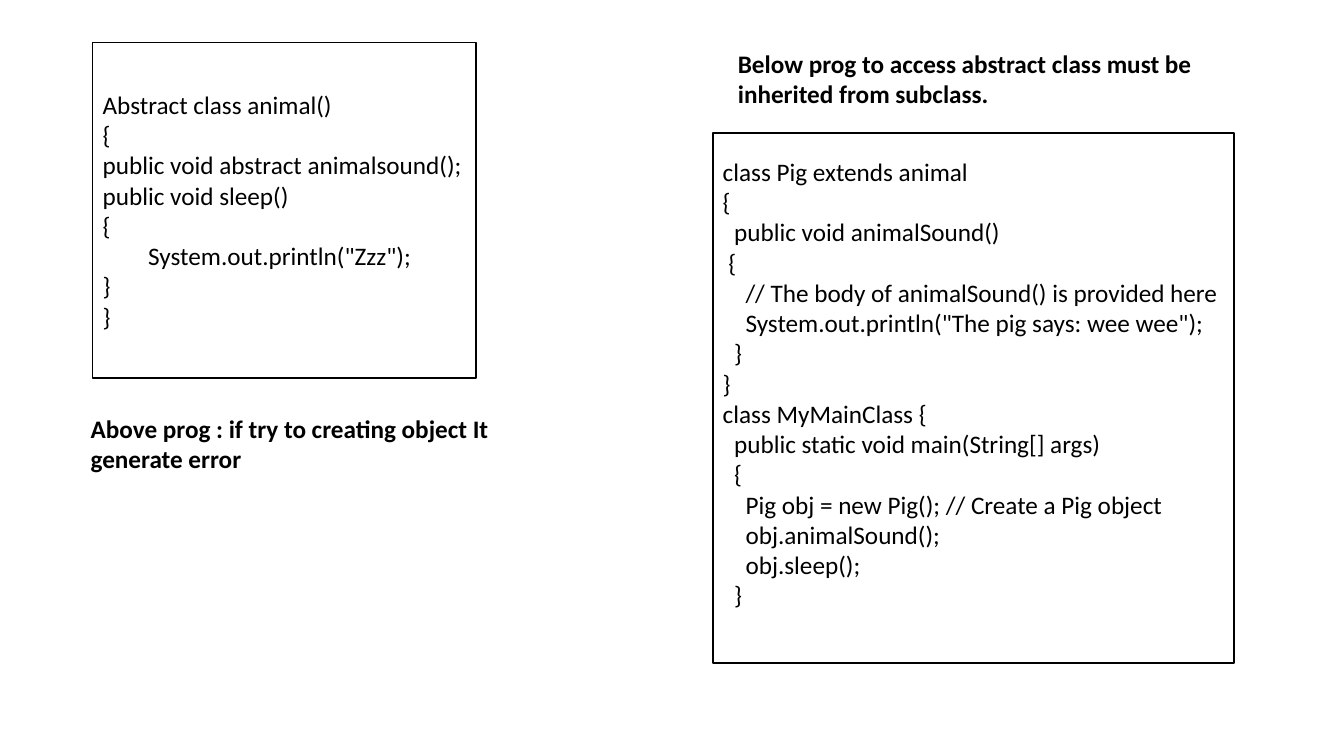
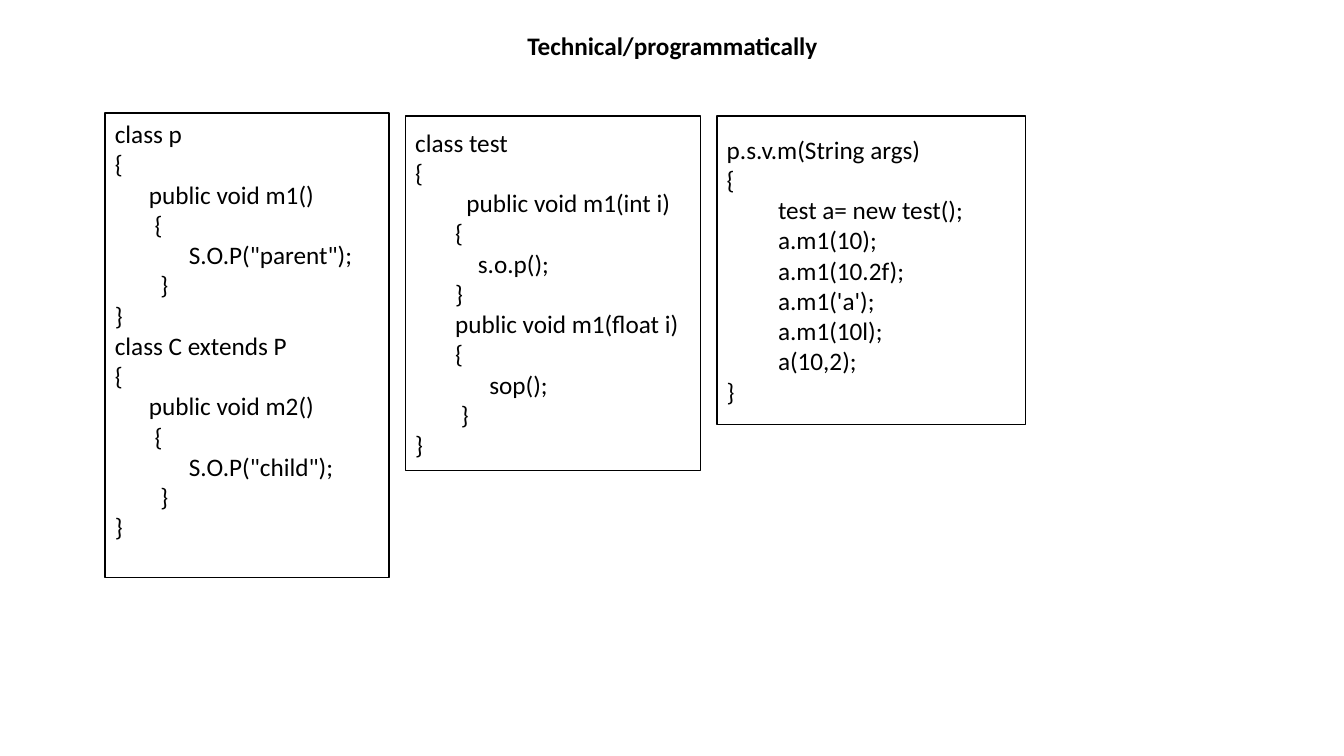
from pptx import Presentation
from pptx.dml.color import RGBColor
from pptx.enum.shapes import MSO_SHAPE as Preset
from pptx.enum.text import MSO_ANCHOR as Anchor, MSO_AUTO_SIZE as AutoSize, PP_ALIGN as Align
from pptx.util import Inches, Pt

COLORS = {"ink": "000000", "paper": "FFFFFF"}
FONT = {"name": "Calibri", "size": Pt(18)}
FRAME = {"word_wrap": True, "auto_size": AutoSize.NONE}
SPACE_WIDTH = 0.0565
LINE_HEIGHT = 0.3
COLUMN_GAP = 0.16
TITLE_ONLY, BLANK = 5, 6

ANIMAL_CODE = """\
Abstract class animal()
{
public void abstract animalsound();
public void sleep()
{
        System.out.println("Zzz");
}
}"""

PIG_CODE = """\
class Pig extends animal
{
  public void animalSound()
 {
    // The body of animalSound() is provided here
    System.out.println("The pig says: wee wee");
  }
}
class MyMainClass {
  public static void main(String[] args)
  {
    Pig obj = new Pig(); // Create a Pig object
    obj.animalSound();
    obj.sleep();
  }"""

INHERITANCE_CODE = """\
class p
{
      public void m1()
       {
             S.O.P("parent");
        }
}
class C extends P
{
      public void m2()
       {
             S.O.P("child");
        }
}"""

OVERLOAD_CODE = """\
class test
{
         public void m1(int i)
       {
           s.o.p();
       }
       public void m1(float i)
       {
             sop();
        }
}"""

CALLS_CODE = """\
p.s.v.m(String args)
{
         test a= new test();
         a.m1(10);
         a.m1(10.2f);
         a.m1('a');
         a.m1(10l);
         a(10,2);
}"""


def color(name):
    return RGBColor.from_string(COLORS[name])


def apply_format(target, values):
    for name, value in values.items():
        setattr(target, name, value)


def place(shape, box):
    names = ("left", "top", "width", "height")
    apply_format(shape, dict(zip(names, map(Inches, box))))


def write_lines(shape, text, anchor, bold=False, **frame_values):
    frame = shape.text_frame
    apply_format(frame, {**FRAME, "vertical_anchor": anchor, **frame_values})
    lines = text.split("\n")
    frame.text = "\n".join(line.lstrip() for line in lines)
    for paragraph, line in zip(frame.paragraphs, lines):
        paragraph.alignment = Align.LEFT
        indent = (len(line) - len(line.lstrip())) * SPACE_WIDTH
        if indent:
            paragraph._p.get_or_add_pPr().set("marL", str(Inches(indent)))
        for run in paragraph.runs:
            apply_format(run.font, {**FONT, "bold": bold})
            run.font.color.rgb = color("ink")


def add_code(slide, box, code, spare_lines=0):
    shape = slide.shapes.add_shape(Preset.RECTANGLE, *map(Inches, box))
    shape.shadow.inherit = False
    shape.fill.solid()
    shape.fill.fore_color.rgb = color("paper")
    shape.line.color.rgb = color("ink")
    shape.line.width = Pt(1)
    bottom = Inches(0.05 + spare_lines * LINE_HEIGHT)
    write_lines(shape, code, Anchor.MIDDLE, margin_bottom=bottom)


def add_caption(slide, box, text):
    caption = slide.shapes.add_textbox(*map(Inches, box))
    write_lines(caption, text, Anchor.TOP, bold=True)


def set_title(slide, box, text):
    title = slide.shapes.title
    place(title, box)
    write_lines(title, text, Anchor.TOP, bold=True, word_wrap=False)


def add_code_columns(slide, left, columns):
    for code, top, width, height, spare_lines in columns:
        add_code(slide, (left, top, width, height), code, spare_lines)
        left += width + COLUMN_GAP


def build_abstract_slide(presentation):
    slide = presentation.slides.add_slide(presentation.slide_layouts[BLANK])
    add_code(slide, (0.92, 0.42, 3.8, 3.33), ANIMAL_CODE)
    add_caption(slide, (0.8, 4.05, 4.48, 0.71),
                "Above prog : if try to creating object It generate error")
    add_code(slide, (7.07, 1.32, 5.17, 5.26), PIG_CODE, spare_lines=1)
    add_caption(slide, (7.22, 0.43, 4.87, 0.71),
                "Below prog to access abstract class must be\ninherited from subclass.")


def build_technical_slide(presentation):
    slide = presentation.slides.add_slide(presentation.slide_layouts[TITLE_ONLY])
    set_title(slide, (5.13, 0.25, 3.1, 0.4), "Technical/programmatically")
    add_code_columns(slide, 1.04, [
        (INHERITANCE_CODE, 1.12, 2.82, 4.61, 1),
        (OVERLOAD_CODE, 1.15, 2.93, 3.52, 0),
        (CALLS_CODE, 1.15, 3.06, 3.06, 0),
    ])


presentation = Presentation()
apply_format(presentation, {"slide_width": Inches(13.33), "slide_height": Inches(7.5)})
build_abstract_slide(presentation)
build_technical_slide(presentation)
presentation.save("out.pptx")
